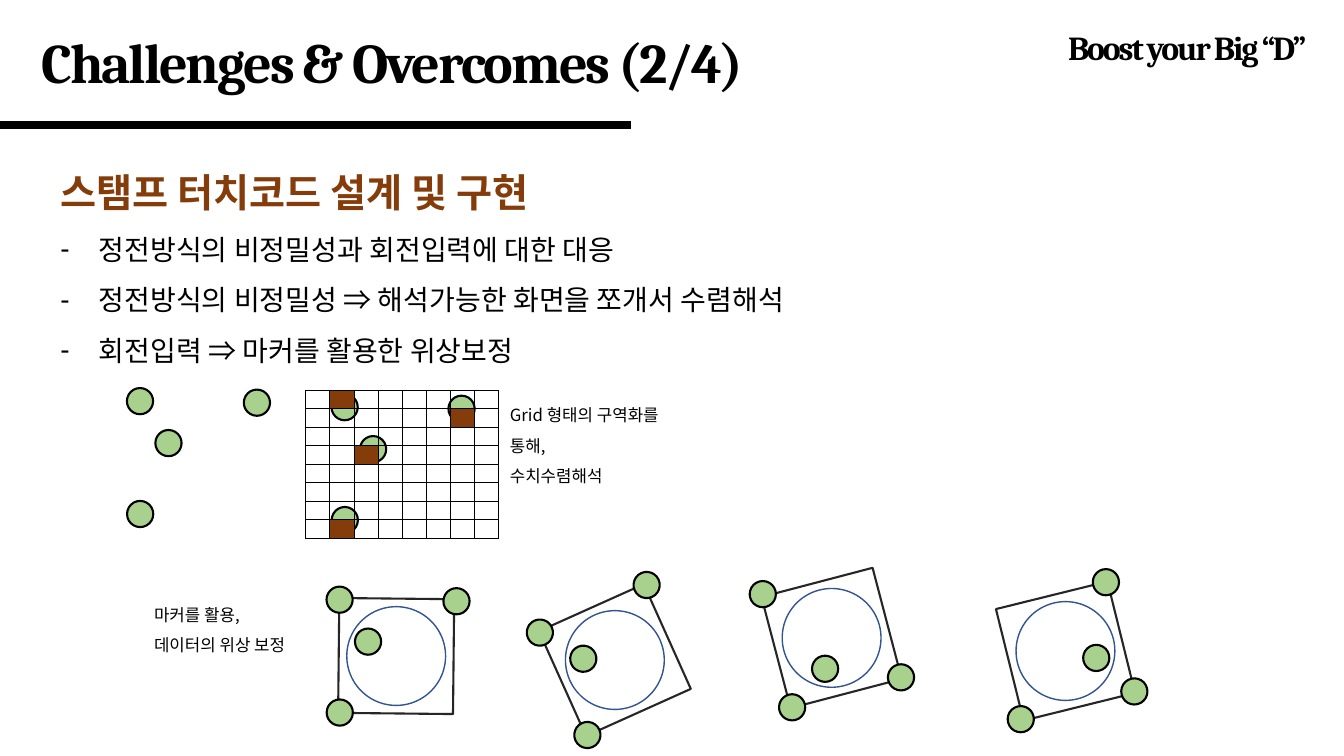
"""Builds the slide on stamp touch-code design and rotation correction."""
from math import cos, radians, sin

from lxml import etree
from pptx import Presentation
from pptx.dml.color import RGBColor
from pptx.enum.shapes import MSO_CONNECTOR, MSO_SHAPE
from pptx.enum.text import MSO_ANCHOR, MSO_AUTO_SIZE, PP_ALIGN
from pptx.oxml.ns import qn
from pptx.util import Inches, Pt

RECT, OVAL = MSO_SHAPE.RECTANGLE, MSO_SHAPE.OVAL
STRAIGHT = MSO_CONNECTOR.STRAIGHT
TOP, NO_FIT = MSO_ANCHOR.TOP, MSO_AUTO_SIZE.NONE
LEFT, RIGHT = PP_ALIGN.LEFT, PP_ALIGN.RIGHT

COLORS = {"ink": "000000", "brown": "843C0B", "green": "A9D18E",
          "frame": "262626", "ring": "325491"}
HEAD_FONT, BODY_FONT = "Cambria", "Noto Sans CJK KR"
WIDTH, HEIGHT, COLUMNS = 13.33, 7.5, 40

MARKER, FRAME, RING = 0.78, 3.42, 2.94
MARKERS = [(-1.66, 1.7), (-0.84, -0.42), (-1.7, -1.66), (1.78, -1.65)]
STAMPS = [(24.75, 18.99, 255.3), (11.79, 19.53, 0.6),
          (18.3, 19.65, 335.8), (31.71, 19.38, 166.1)]
TOUCHES = [(5.85, 13.62, 0.6), (11.94, 13.8, 0.6)]
HITS = {(0, 1), (1, 6), (3, 2), (7, 1)}
GRID_SIZE = 8

HEADING = "스탬프 터치코드 설계 및 구현"
POINTS = ["정전방식의 비정밀성과 회전입력에 대한 대응",
          "정전방식의 비정밀성 ⇒ 해석가능한 화면을 쪼개서 수렴해석",
          "회전입력 ⇒ 마커를 활용한 위상보정"]


def rgb(name):
    """Return a named colour."""
    return RGBColor.from_string(COLORS[name])


class Deck:
    """Holds the style and the current slide; lengths are grid columns."""

    def __init__(self, prs):
        """Add a slide with a title and a body."""
        self.unit = prs.slide_width / COLUMNS
        self.s = prs.slides.add_slide(prs.slide_layouts[1])

    def size(self, *lengths):
        """Convert grid lengths to slide units."""
        return [round(n * self.unit) for n in lengths]

    def place(self, sp, box):
        """Position a text shape and prepare its frame."""
        sp.left, sp.top, sp.width, sp.height = self.size(*box)
        tf = sp.text_frame
        tf.auto_size, tf.word_wrap, tf.vertical_anchor = NO_FIT, True, TOP
        return tf

    def paragraph(self, tf, text, size, font=BODY_FONT, color="ink",
                  bold=False, align=LEFT, line=1.0, bullet=None, track=0):
        """Write one paragraph made of one run."""
        p = tf.paragraphs[0]
        if p.runs:
            p = tf.add_paragraph()
        pPr = p._p.get_or_add_pPr()
        hang = Inches(0.38) if bullet else 0
        pPr.set("marL", str(hang))
        pPr.set("indent", str(-hang))
        if bullet:
            etree.SubElement(pPr, qn("a:buChar")).set("char", bullet)
        else:
            etree.SubElement(pPr, qn("a:buNone"))
        p.alignment, p.line_spacing, p.space_before = align, line, Pt(0)
        r = p.add_run()
        r.text = text
        r.font.size, r.font.bold, r.font.name = Pt(size), bold, font
        r.font.color.rgb = rgb(color)
        rPr = r._r.get_or_add_rPr()
        if track:
            rPr.set("spc", str(track))
        latin = rPr.find(qn("a:latin"))
        ea = etree.Element(qn("a:ea"), typeface=font)
        latin.addnext(ea)

    def title(self, text, box):
        """Fill the title placeholder."""
        tf = self.place(self.s.shapes.title, box)
        self.paragraph(tf, text, 40, HEAD_FONT, bold=True, track=-150)

    def tagline(self, text, box):
        """Add the right-aligned tagline."""
        tf = self.place(self.s.shapes.add_textbox(0, 0, 0, 0), box)
        self.paragraph(tf, text, 24, HEAD_FONT, bold=True, align=RIGHT,
                       track=-150)

    def body(self, heading, points, box):
        """Fill the body placeholder with a heading and dashed points."""
        tf = self.place(self.s.placeholders[1], box)
        self.paragraph(tf, heading, 28, color="brown", bold=True, line=1.5)
        for point in points:
            self.paragraph(tf, point, 20, line=1.5, bullet="-")

    def note(self, lines, box):
        """Add a small caption."""
        tf = self.place(self.s.shapes.add_textbox(0, 0, 0, 0), box)
        for text in lines:
            self.paragraph(tf, text, 12, line=1.5)

    def rule(self, x1, x2, y, weight):
        """Add a horizontal line."""
        cx = self.s.shapes.add_connector(STRAIGHT, *self.size(x1, y, x2, y))
        cx.line.color.rgb, cx.line.width = rgb("ink"), Pt(weight)
        etree.SubElement(cx._element.spPr, qn("a:effectLst"))

    def centred(self, group, kind, x, y, side, turn, line, weight, fill=None):
        """Add a turned shape around a centre point."""
        box = self.size(x - side / 2, y - side / 2, side, side)
        sp = group.shapes.add_shape(kind, *box)
        sp.rotation, sp.shadow.inherit = turn, False
        sp.line.color.rgb, sp.line.width = rgb(line), Pt(weight)
        if fill:
            sp.fill.solid()
            sp.fill.fore_color.rgb = rgb(fill)
        else:
            sp.fill.background()

    def markers(self, group, x, y, turn):
        """Add the four touch markers turned about a centre."""
        c, n = cos(radians(turn)), sin(radians(turn))
        for dx, dy in MARKERS:
            self.centred(group, OVAL, x + dx * c - dy * n, y + dx * n + dy * c,
                         MARKER, turn, "ink", 1.5, "green")

    def touches(self, x, y, turn):
        """Add a group of markers alone."""
        self.markers(self.s.shapes.add_group_shape(), x, y, turn)

    def stamp(self, x, y, turn):
        """Add a framed stamp with its markers and ring."""
        group = self.s.shapes.add_group_shape()
        self.centred(group, RECT, x, y, FRAME, turn, "frame", 1.5)
        self.markers(group, x, y, turn)
        self.centred(group, OVAL, x, y, RING, turn, "ring", 1)

    def grid(self, box):
        """Add the square table with its hit cells filled."""
        frame = self.s.shapes.add_table(GRID_SIZE, GRID_SIZE, *self.size(*box))
        table = frame.table
        table.first_row = table.horz_banding = False
        for i in range(GRID_SIZE):
            for j in range(GRID_SIZE):
                self.cell(table.cell(i, j), (i, j) in HITS)

    def cell(self, cell, hit):
        """Give one cell thin borders and its fill."""
        cell.margin_left = cell.margin_right = 0
        cell.margin_top = cell.margin_bottom = 0
        p = cell.text_frame.paragraphs[0]
        etree.SubElement(p._p, qn("a:endParaRPr")).set("sz", "400")
        tcPr = cell._tc.get_or_add_tcPr()
        for side in ("lnL", "lnR", "lnT", "lnB"):
            ln = etree.SubElement(tcPr, qn("a:" + side), w=str(Pt(0.25)))
            solid = etree.SubElement(ln, qn("a:solidFill"))
            etree.SubElement(solid, qn("a:srgbClr"), val=COLORS["ink"])
        if hit:
            cell.fill.solid()
            cell.fill.fore_color.rgb = rgb("brown")
        else:
            cell.fill.background()


def main():
    """Build and save the slide."""
    prs = Presentation()
    prs.slide_width, prs.slide_height = Inches(WIDTH), Inches(HEIGHT)
    deck = Deck(prs)
    deck.title("Challenges & Overcomes (2/4)", (0.93, 0.66, 22.71, 2.31))
    deck.rule(0, 18.78, 3.72, 6)
    deck.tagline("Boost your Big “D”", (21.72, 0.66, 17.46, 1.5))
    deck.body(HEADING, POINTS, (1.5, 4.17, 37, 6.84))
    for stamp in STAMPS:
        deck.stamp(*stamp)
    for touch in TOUCHES:
        deck.touches(*touch)
    deck.grid((9.09, 11.61, 5.75, 4.41))
    deck.note(["Grid 형태의 구역화를 통해,", "수치수렴해석"],
              (14.88, 11.61, 5.49, 2.04))
    deck.note(["마커를 활용,", "데이터의 위상 보정"], (4.29, 17.55, 4.8, 2.04))
    prs.save("out.pptx")


if __name__ == "__main__":
    main()
